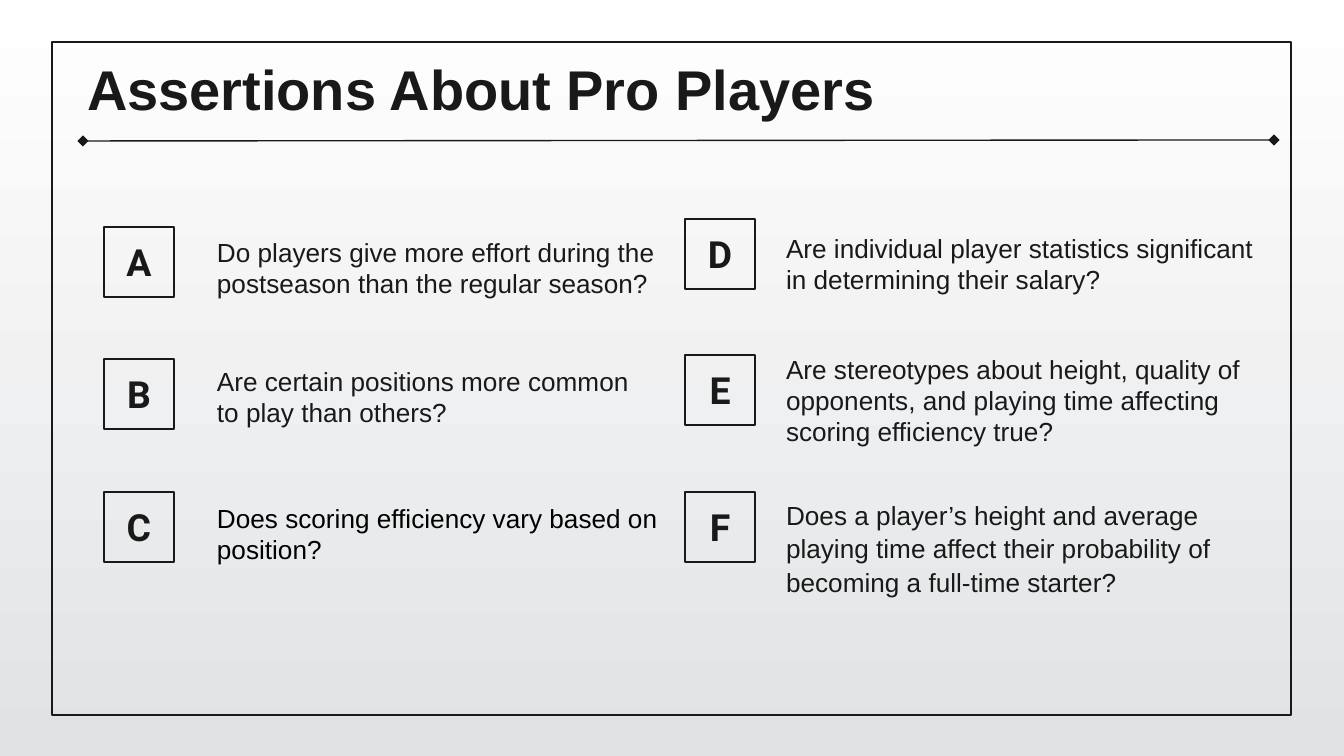
from dataclasses import dataclass

from lxml import etree
from pptx import Presentation
from pptx import util as u
from pptx.dml.color import RGBColor
from pptx.enum import shapes, text
from pptx.oxml import ns

EMU_PER_PX = 914400 / 134.4


@dataclass(frozen=True)
class Theme:
    ink: str = "191919"
    black: str = "000000"
    sky: str = "FFFFFF"
    ground: str = "E0E2E4"
    font: str = "Arial"
    badge_font: str = "Roboto"
    title_size: int = 30
    badge_size: int = 20
    body_size: int = 14
    line_width: float = 0.75


@dataclass(frozen=True)
class Question:
    letter: str
    wording: str
    top: int
    width: int
    color: str
    line_spacing: float | None = None
    space_after: int | None = None


@dataclass(frozen=True)
class Column:
    badge_left: int
    badge_top: int
    text_left: int
    questions: tuple[Question, ...]


THEME = Theme()
BADGE_SIDE = 70
LAST_BADGE_TOP = 492
INSET = 13

COLUMNS = (
    Column(104, 227, 204, (
        Question("A", "Do players give more effort during the postseason than the regular season?",
                 223, 465, THEME.ink),
        Question("B", "Are certain positions more common to play than others?",
                 352, 450, THEME.ink),
        Question("C", "Does scoring efficiency vary based on position?",
                 489, 481, THEME.black),
    )),
    Column(685, 219, 773, (
        Question("D", "Are individual player statistics significant in determining their salary?",
                 219, 513, THEME.ink),
        Question("E", "Are stereotypes about height, quality of opponents, and playing time "
                 "affecting scoring efficiency true?", 340, 513, THEME.ink),
        Question("F", "Does a player’s height and average playing time affect their probability "
                 "of becoming a full-time starter?", 484, 513, THEME.ink, 1.07, 8),
    )),
)


def px(length: int) -> u.Emu:
    return u.Emu(round(length * EMU_PER_PX))


def rgb(color: str) -> RGBColor:
    return RGBColor.from_string(color)


def write(box, wording: str, font: str, size: int, color: str, bold: bool = False):
    """Fill the box with one paragraph and return that paragraph."""
    frame = box.text_frame
    frame.word_wrap = True
    frame.margin_left = frame.margin_right = px(INSET)
    frame.margin_top = frame.margin_bottom = px(INSET)
    para = frame.paragraphs[0]
    para.text = wording
    para.font.name = font
    para.font.size = u.Pt(size)
    para.font.bold = bold
    para.font.color.rgb = rgb(color)
    return para


def add_outline(page, left: int, top: int, width: int, height: int):
    box = page.shapes.add_shape(shapes.MSO_SHAPE.RECTANGLE,
                                px(left), px(top), px(width), px(height))
    box.shadow.inherit = False
    box.fill.background()
    box.line.color.rgb = rgb(THEME.ink)
    box.line.width = u.Pt(THEME.line_width)
    return box


def add_badge(page, letter: str, left: int, top: int) -> None:
    box = add_outline(page, left, top, BADGE_SIDE, BADGE_SIDE)
    para = write(box, letter, THEME.badge_font, THEME.badge_size, THEME.ink, bold=True)
    para.alignment = text.PP_ALIGN.CENTER
    box.text_frame.vertical_anchor = text.MSO_ANCHOR.MIDDLE


def add_question(page, question: Question, left: int) -> None:
    box = page.shapes.add_textbox(px(left), px(question.top), px(question.width), px(113))
    para = write(box, question.wording, THEME.font, THEME.body_size, question.color)
    if question.line_spacing is not None:
        para.line_spacing = question.line_spacing
    if question.space_after is not None:
        para.space_after = u.Pt(question.space_after)


def add_column(page, column: Column) -> None:
    drop = LAST_BADGE_TOP - column.badge_top
    gaps = len(column.questions) - 1
    for row, question in enumerate(column.questions):
        add_badge(page, question.letter, column.badge_left,
                  column.badge_top + row * drop // gaps)
        add_question(page, question, column.text_left)


def add_title_rule(page) -> None:
    rule = page.shapes.add_connector(shapes.MSO_CONNECTOR.STRAIGHT,
                                     px(83), px(141), px(1274), px(140))
    rule.line.color.rgb = rgb(THEME.ink)
    rule.line.width = u.Pt(THEME.line_width)
    line = rule.line._get_or_add_ln()
    for end in ("a:headEnd", "a:tailEnd"):
        etree.SubElement(line, ns.qn(end), type="diamond")
    etree.SubElement(rule._element.spPr, ns.qn("a:effectLst"))


def main() -> None:
    deck = Presentation()
    deck.slide_width, deck.slide_height = px(1344), px(756)
    page = deck.slides.add_slide(deck.slide_layouts[6])

    # Background, fading downwards
    fill = page.background.fill
    fill.gradient()
    fill.gradient_angle = 270
    for stop, color in zip(fill.gradient_stops, (THEME.sky, THEME.ground)):
        stop.color.rgb = rgb(color)

    # Frame
    add_outline(page, 52, 42, 1239, 673)

    # Lettered questions
    for column in COLUMNS:
        add_column(page, column)

    # Title and its rule
    title = page.shapes.add_textbox(px(74), px(42), px(878), px(85))
    write(title, "Assertions About Pro Players", THEME.font, THEME.title_size,
          THEME.ink, bold=True)
    add_title_rule(page)

    deck.save("out.pptx")


if __name__ == "__main__":
    main()
